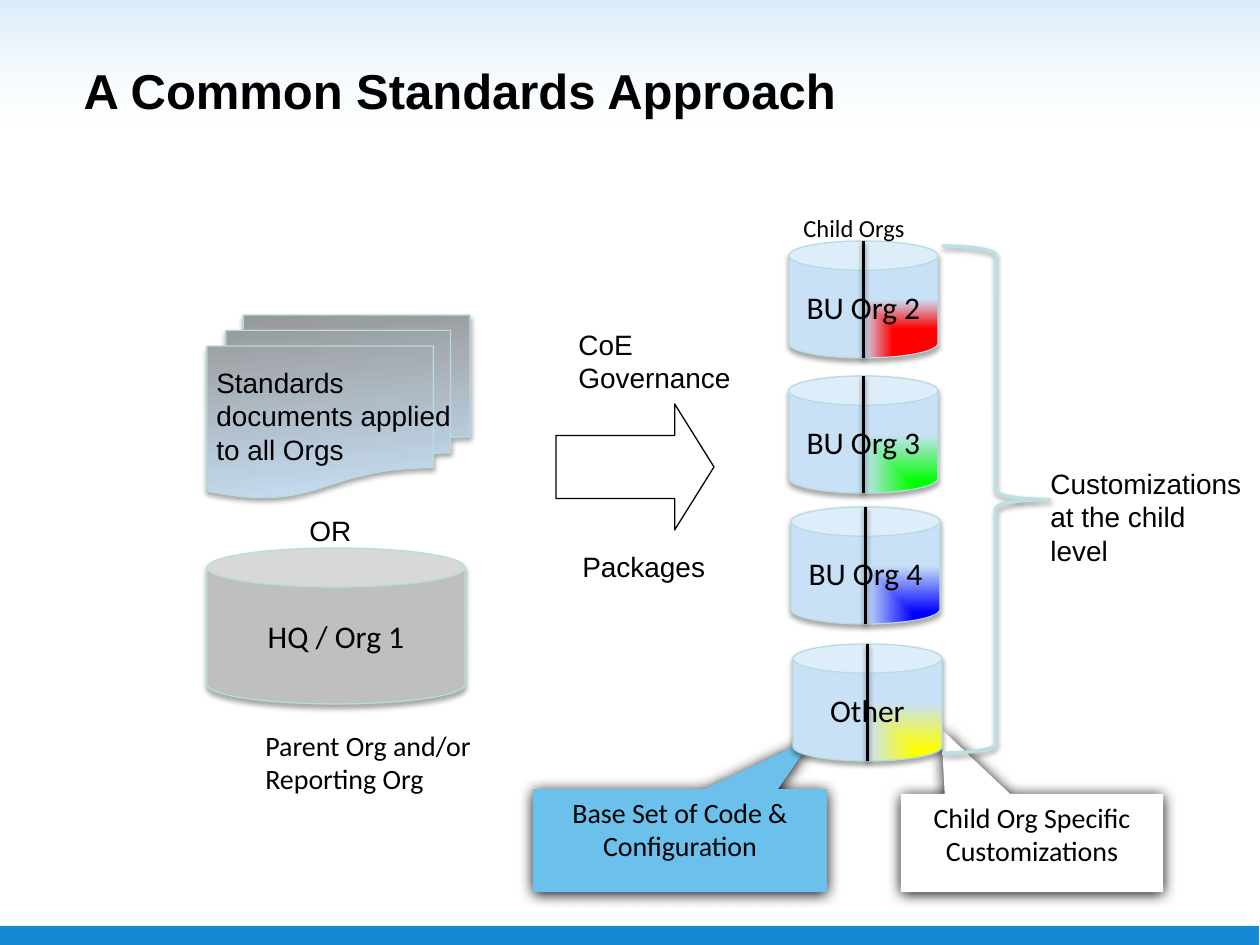
import pptx
import pptx.dml.color
import pptx.enum.shapes
import pptx.enum.text
import pptx.oxml
import pptx.oxml.ns
import pptx.util
from dataclasses import dataclass

PX = 914400 / 126  # EMU in one px


@dataclass(frozen=True)
class Theme:
    sans: str = "Arial"
    body: str = "Calibri"
    ink: str = "000000"
    white: str = "FFFFFF"
    bar: str = "1589D3"
    sky: str = "C8E1F7"
    steel: str = "969696"
    grey: str = "BFBFBF"
    callout: str = "6BC1EC"
    outline: str = "B6DCDF"
    brace: str = "BBE0E3"
    title_size: int = 28
    can_size: int = 18
    text_size: int = 16
    caption_size: int = 14


theme = Theme()
SHAPE = pptx.enum.shapes.MSO_SHAPE
ANCHOR = pptx.enum.text.MSO_ANCHOR
ALIGN = pptx.enum.text.PP_ALIGN
qn = pptx.oxml.ns.qn
rgb = pptx.dml.color.RGBColor.from_string
NAMESPACE = pptx.oxml.ns.nsdecls("a")

presentation = pptx.Presentation()
presentation.slide_width = pptx.util.Inches(10)
presentation.slide_height = pptx.util.Inches(7.5)
slide = presentation.slides.add_slide(presentation.slide_layouts[5])


def emu(*lengths):
    return [round(length * PX) for length in lengths]


def style(shape, fill=None, line=None, width=0.75, gradient=None, shadow=None):
    """gradient: (stops, direction XML); shadow: (opacity, blur, distance)."""
    properties = shape._element.spPr
    if gradient:
        stops, direction = gradient
        shape.fill.gradient()
        stop_xml = "".join(
            f'<a:gs pos="{place * 1000}"><a:srgbClr val="{color}">'
            f'<a:alpha val="{opacity * 1000}"/></a:srgbClr></a:gs>'
            for place, color, opacity in stops)
        old = properties.find(qn("a:gradFill"))
        properties.replace(old, pptx.oxml.parse_xml(
            f'<a:gradFill {NAMESPACE} rotWithShape="1"><a:gsLst>{stop_xml}</a:gsLst>'
            f'{direction}</a:gradFill>'))
    elif fill:
        shape.fill.solid()
        shape.fill.fore_color.rgb = rgb(fill)
    elif hasattr(shape, "fill"):
        shape.fill.background()
    if line:
        shape.line.color.rgb = rgb(line)
        shape.line.width = pptx.util.Pt(width)
    else:
        shape.line.fill.background()
    effects = pptx.oxml.parse_xml(f"<a:effectLst {NAMESPACE}/>")
    if shadow:
        opacity, blur, distance = shadow
        effects.append(pptx.oxml.parse_xml(
            f'<a:outerShdw {NAMESPACE} blurRad="{pptx.util.Pt(blur)}" '
            f'dist="{pptx.util.Pt(distance)}" dir="5400000" rotWithShape="0">'
            f'<a:srgbClr val="{theme.ink}"><a:alpha val="{opacity * 1000}"/>'
            f'</a:srgbClr></a:outerShdw>'))
    properties.append(effects)


def write(shape, lines, size, font, align=ALIGN.LEFT, anchor=ANCHOR.TOP):
    frame = shape.text_frame
    frame.word_wrap = True
    frame.vertical_anchor = anchor
    for index, line in enumerate(lines):
        paragraph = frame.add_paragraph() if index else frame.paragraphs[0]
        paragraph.text = line
        paragraph.alignment = align
        paragraph.font.size = pptx.util.Pt(size)
        paragraph.font.name = font
        paragraph.font.color.rgb = rgb(theme.ink)


soft = (35, 3.1, 1.8)
line_shadow = (38, 3.1, 1.6)
heavy = (100, 8.5, 1)

# Background bands
footer = slide.shapes.add_shape(SHAPE.RECTANGLE, *emu(-1, 926, 1260, 23))
style(footer, fill=theme.bar)
header = slide.shapes.add_shape(SHAPE.RECTANGLE, *emu(0, 0, 1260, 198))
style(header, gradient=([(27, theme.white, 0), (100, theme.bar, 16)],
                        '<a:lin ang="16200000" scaled="0"/>'))

# Title, brought in front of the bands
title = slide.shapes.title
title.left, title.top, title.width, title.height = emu(71, 35, 1134, 110)
write(title, ["A Common Standards Approach"], theme.title_size, theme.sans,
      anchor=ANCHOR.MIDDLE)
title.text_frame.paragraphs[0].font.bold = True
slide.shapes._spTree.append(title._element)

# Arrow from parent to children
arrow = slide.shapes.add_shape(SHAPE.RIGHT_ARROW, *emu(556, 404, 158, 126))
arrow.adjustments[1] = 0.312
style(arrow, line=theme.ink)

# Parent org
parent = slide.shapes.add_shape(SHAPE.CAN, *emu(207, 548, 258, 156))
style(parent, fill=theme.grey, line=theme.outline, shadow=soft)
write(parent, ["HQ / Org 1"], theme.can_size, theme.body, ALIGN.CENTER, ANCHOR.MIDDLE)

# Callouts, turned over so that they point up; the text is turned back
callouts = [
    ("Base Set of Code & Configuration", (533, 789, 294, 103), (-0.455, 1.002), theme.callout),
    ("Child Org Specific Customizations", (901, 794, 262, 98), (0.347, 1.165), theme.white),
]
for text, box, tip, color in callouts:
    callout = slide.shapes.add_shape(SHAPE.RECTANGULAR_CALLOUT, *emu(*box))
    callout.rotation = 180
    callout.adjustments[0], callout.adjustments[1] = tip
    style(callout, fill=color, shadow=heavy)
    write(callout, [text], theme.text_size, theme.body, ALIGN.CENTER)
    callout._element.txBody.find(qn("a:bodyPr")).set("rot", "10800000")

# Child orgs: a shared base on the left, own customizations on the right
corner = '<a:path path="rect"><a:fillToRect l="100000" t="100000"/></a:path>'
can_width, can_height = 149, 117
children = [
    ("BU Org 2", 789, 241, "FF0000", 50),
    ("BU Org 3", 789, 376, "00FF00", 19),
    ("BU Org 4", 791, 507, "0000FF", 19),
    ("Other", 793, 644, "FFFF00", 19),
]
for name, left, top, color, place in children:
    can = slide.shapes.add_shape(SHAPE.CAN, *emu(left, top, can_width, can_height))
    style(can, line=theme.outline, shadow=soft,
          gradient=([(place, color, 100), (100, theme.sky, 100)], corner))
    write(can, [name], theme.can_size, theme.body, ALIGN.CENTER, ANCHOR.MIDDLE)
    middle = left + can_width / 2
    divider = slide.shapes.add_connector(
        pptx.enum.shapes.MSO_CONNECTOR.STRAIGHT,
        *emu(middle, top, middle, top + can_height))
    style(divider, line=theme.ink, width=2, shadow=line_shadow)

# Standards documents
documents = slide.shapes.add_shape(SHAPE.FLOWCHART_MULTIDOCUMENT, *emu(207, 315, 263, 183))
style(documents, line=theme.outline, shadow=soft,
      gradient=([(0, theme.steel, 100), (100, theme.sky, 100)],
                f'<a:lin ang="{84 * 60000}" scaled="0"/>'))

# Brace around the child orgs
brace = slide.shapes.add_shape(SHAPE.LEFT_BRACE, *emu(942, 246, 107, 507))
brace.rotation = 180
style(brace, line=theme.brace, width=2, shadow=line_shadow)

# Labels
labels = [
    (["Parent Org and/or", "Reporting Org"], (253, 722, 242, 81), theme.text_size, theme.body, False),
    (["Child Orgs"], (791, 207, 129, 43), theme.caption_size, theme.body, False),
    (["OR"], (297, 507, 84, 47), theme.text_size, theme.sans, True),
    (["Standards documents applied to all Orgs"], (204, 359, 270, 115), theme.text_size, theme.sans, True),
    (["Packages"], (570, 543, 185, 47), theme.text_size, theme.sans, True),
    (["CoE Governance"], (566, 321, 185, 81), theme.text_size, theme.sans, True),
    (["Customizations at the child level"], (1038, 460, 222, 115), theme.text_size, theme.sans, True),
]
for lines, box, size, font, wrap in labels:
    label = slide.shapes.add_textbox(*emu(*box))
    write(label, lines, size, font)
    label.text_frame.word_wrap = wrap
    label.text_frame.auto_size = pptx.enum.text.MSO_AUTO_SIZE.SHAPE_TO_FIT_TEXT

presentation.save("out.pptx")
